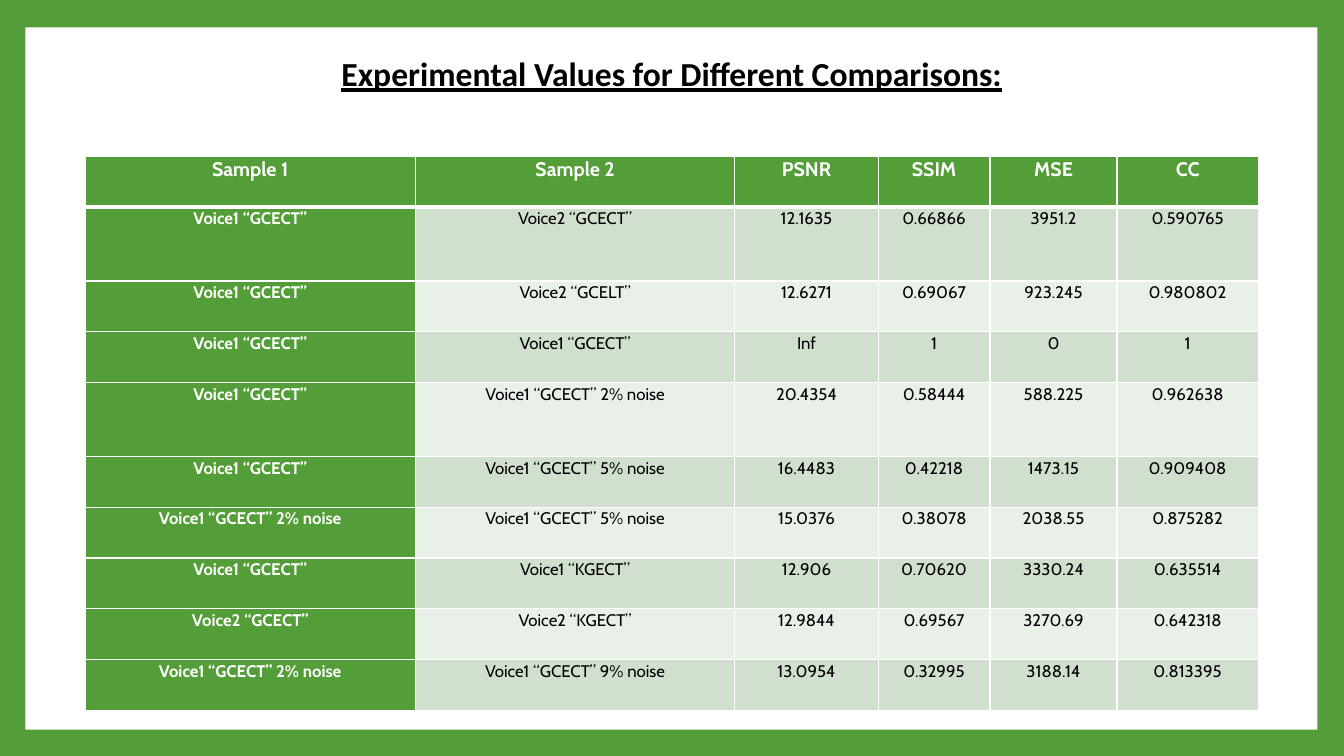
from dataclasses import dataclass

from lxml import etree
from pptx import Presentation
from pptx import util as u
from pptx.dml.color import RGBColor
from pptx.enum import shapes, text
from pptx.oxml import ns

GREEN = RGBColor(0x54, 0x9E, 0x39)
WHITE = RGBColor(0xFF, 0xFF, 0xFF)
BLACK = RGBColor(0x00, 0x00, 0x00)
DARK_BAND = RGBColor(0xD1, 0xDF, 0xCE)
LIGHT_BAND = RGBColor(0xE9, 0xF0, 0xE8)

COLUMN_WIDTHS = (8.33, 8.05, 3.61, 2.82, 3.2, 3.56)
ROW_HEIGHT, TALL_ROW_HEIGHT = 1.28, 1.86
TALL_ROWS = (1, 4)
HEADINGS = ("Sample 1", "Sample 2", "PSNR", "SSIM", "MSE", "CC")


@dataclass
class Comparison:
    sample_1: str
    sample_2: str
    psnr: str
    ssim: str
    mse: str
    cc: str

    def values(self) -> tuple[str, ...]:
        return (self.sample_1, self.sample_2, self.psnr, self.ssim, self.mse, self.cc)


COMPARISONS = (
    Comparison("Voice1 “GCECT”", "Voice2 “GCECT”", "12.1635", "0.66866", "3951.2", "0.590765"),
    Comparison("Voice1 “GCECT”", "Voice2 “GCELT”", "12.6271", "0.69067", "923.245", "0.980802"),
    Comparison("Voice1 “GCECT”", "Voice1 “GCECT”", "Inf", "1", "0", "1"),
    Comparison("Voice1 “GCECT”", "Voice1 “GCECT” 2% noise", "20.4354", "0.58444", "588.225", "0.962638"),
    Comparison("Voice1 “GCECT”", "Voice1 “GCECT” 5% noise", "16.4483", "0.42218", "1473.15", "0.909408"),
    Comparison("Voice1 “GCECT” 2% noise", "Voice1 “GCECT” 5% noise", "15.0376", "0.38078", "2038.55", "0.875282"),
    Comparison("Voice1 “GCECT”", "Voice1 “KGECT”", "12.906", "0.70620", "3330.24", "0.635514"),
    Comparison("Voice2 “GCECT”", "Voice2 “KGECT”", "12.9844", "0.69567", "3270.69", "0.642318"),
    Comparison("Voice1 “GCECT” 2% noise", "Voice1 “GCECT” 9% noise", "13.0954", "0.32995", "3188.14", "0.813395"),
)


def write_text(frame, words: str, *, size: float, font: str = "Cabin", color: RGBColor = BLACK,
               bold: bool = False, underline: bool = False) -> None:
    para = frame.paragraphs[0]
    para.alignment = text.PP_ALIGN.CENTER
    para.line_spacing = 1.07
    para.space_after = u.Pt(8)
    span = para.add_run()
    span.text = words
    span.font.name = font
    span.font.size = u.Pt(size)
    span.font.color.rgb = color
    span.font.bold = bold
    span.font.underline = underline


def add_borders(cell, top: float, bottom: float) -> None:
    properties = cell._tc.get_or_add_tcPr()
    for side, points in (("L", 1), ("R", 1), ("T", top), ("B", bottom)):
        line = etree.SubElement(properties, ns.qn(f"a:ln{side}"), w=str(u.Pt(points)))
        fill = etree.SubElement(line, ns.qn("a:solidFill"))
        etree.SubElement(fill, ns.qn("a:srgbClr"), val=str(WHITE))


def fill_cell(cell, words: str, row: int, column: int) -> None:
    emphasised = row == 0 or column == 0
    add_borders(cell, top=3 if row == 1 else 1, bottom=3 if row == 0 else 1)
    cell.margin_left = cell.margin_right = u.Cm(0.18)
    cell.margin_top = cell.margin_bottom = u.Cm(0)
    cell.fill.solid()
    band = DARK_BAND if row % 2 else LIGHT_BAND
    cell.fill.fore_color.rgb = GREEN if emphasised else band
    write_text(cell.text_frame, words, size=14 if row == 0 else 12,
               color=WHITE if emphasised else BLACK, bold=emphasised)


def add_results(page) -> None:
    rows = (HEADINGS, *(comparison.values() for comparison in COMPARISONS))
    heights = [TALL_ROW_HEIGHT if row in TALL_ROWS else ROW_HEIGHT for row in range(len(rows))]
    table = page.shapes.add_table(len(rows), len(HEADINGS), u.Cm(2.14), u.Cm(3.94),
                                  u.Cm(sum(COLUMN_WIDTHS)), u.Cm(sum(heights))).table
    table.first_col = True
    for column, width in zip(table.columns, COLUMN_WIDTHS):
        column.width = u.Cm(width)
    for row, (values, height) in enumerate(zip(rows, heights)):
        table.rows[row].height = u.Cm(height)
        for column, words in enumerate(values):
            fill_cell(table.cell(row, column), words, row, column)


def main() -> None:
    deck = Presentation()
    deck.slide_width, deck.slide_height = u.Cm(33.87), u.Cm(19.05)
    page = deck.slides.add_slide(deck.slide_layouts[6])

    # Green frame around a white panel
    page.background.fill.solid()
    page.background.fill.fore_color.rgb = GREEN
    panel = page.shapes.add_shape(shapes.MSO_SHAPE.RECTANGLE, u.Cm(0.64), u.Cm(0.69),
                                  u.Cm(32.56), u.Cm(17.7))
    panel.shadow.inherit = False
    panel.fill.solid()
    panel.fill.fore_color.rgb = WHITE
    panel.line.fill.background()

    # Table of results
    add_results(page)

    # Title
    box = page.shapes.add_textbox(u.Cm(5.46), u.Cm(1.14), u.Cm(22.94), u.Cm(1.3))
    box.text_frame.word_wrap = True
    box.text_frame.auto_size = text.MSO_AUTO_SIZE.SHAPE_TO_FIT_TEXT
    write_text(box.text_frame, "Experimental Values for Different Comparisons:",
               size=24, font="Calibri", bold=True, underline=True)

    deck.save("out.pptx")


if __name__ == "__main__":
    main()
